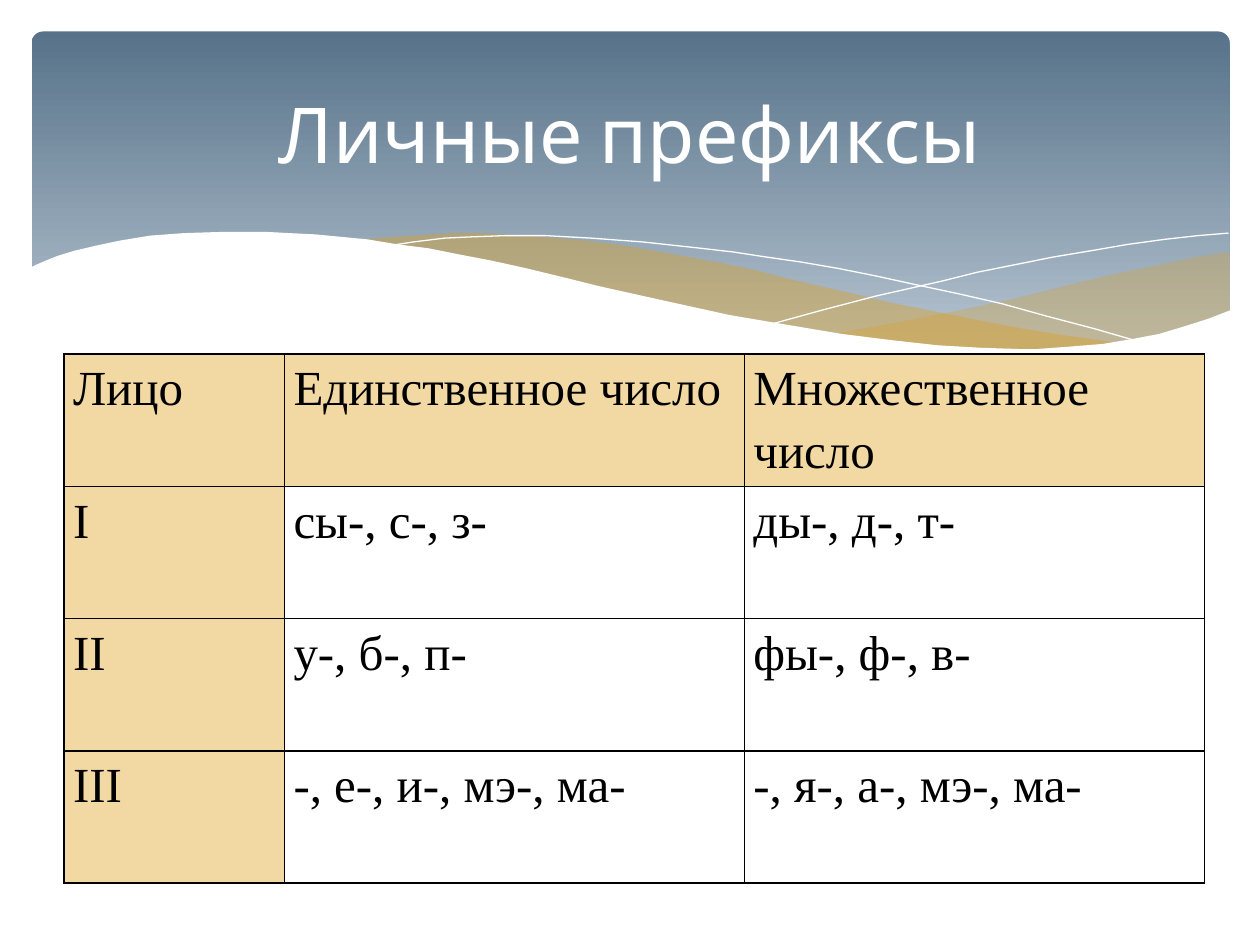
from lxml import etree
from pptx import Presentation, util as u
from pptx.dml.color import RGBColor
from pptx.enum import shapes, text
from pptx.oxml.ns import qn

GOLD = "DC9E1F"
SAND = "F2D9A4"
WHITE = "FFFFFF"
BLACK = "000000"

RIGHT = [
    (9.76, 2), (9.48, 2.04), (9.21, 2.1), (8.91, 2.16), (8.61, 2.23),
    (8.05, 2.37), (7.53, 2.48), (7.06, 2.57), (6.61, 2.65), (6.91, 2.69),
    (7.19, 2.72), (7.45, 2.75), (7.69, 2.77), (8.03, 2.78), (8.35, 2.77),
    (8.63, 2.75), (8.89, 2.72), (9.13, 2.67), (9.35, 2.62), (9.49, 2.57),
    (9.63, 2.52), (9.76, 2.47),
]
BAND = [
    (8.93, 2.73), (8.66, 2.69), (8.37, 2.65), (8.07, 2.6), (7.75, 2.54),
    (7.41, 2.47), (7.06, 2.4), (6.68, 2.31), (6.29, 2.22), (5.98, 2.14),
    (5.69, 2.08), (5.41, 2.03), (5.14, 1.98), (4.89, 1.94), (4.65, 1.91),
    (4.42, 1.89), (4.2, 1.87), (3.99, 1.86), (3.8, 1.85), (3.61, 1.85),
    (3.28, 1.87), (2.99, 1.89), (2.86, 1.91), (3.23, 1.96), (3.62, 2.03),
    (4.04, 2.11), (4.49, 2.22), (4.91, 2.32), (5.3, 2.4), (5.66, 2.48),
    (6.01, 2.55), (6.34, 2.61), (6.65, 2.66), (6.95, 2.7), (7.22, 2.74),
    (7.48, 2.76), (7.73, 2.77), (7.96, 2.78), (8.28, 2.78), (8.57, 2.77),
    (8.76, 2.75),
]
FALL = [
    (3.09, 1.95), (3.28, 1.92), (3.53, 1.89), (3.74, 1.88), (4.01, 1.87),
    (4.33, 1.87), (4.69, 1.89), (5.1, 1.92), (5.56, 1.97), (5.82, 2),
    (6.08, 2.04), (6.36, 2.08), (6.65, 2.13), (6.95, 2.19), (7.27, 2.26),
    (7.6, 2.33), (7.95, 2.41), (8.31, 2.51), (8.69, 2.61), (9.07, 2.72),
]
RISE = [
    (6.13, 2.57), (6.53, 2.46), (6.95, 2.35), (7.48, 2.23), (7.76, 2.16),
    (8.06, 2.1), (8.36, 2.04), (8.66, 1.99), (8.95, 1.94), (9.24, 1.9),
    (9.51, 1.87), (9.75, 1.85),
]
WAVE = [
    (9.77, 2.46), (9.59, 2.53), (9.4, 2.59), (9.2, 2.65), (8.99, 2.69),
    (8.75, 2.73), (8.5, 2.75), (8.23, 2.77), (8.09, 2.77), (7.78, 2.76),
    (7.44, 2.74), (7.08, 2.7), (6.68, 2.65), (6.26, 2.58), (5.79, 2.5),
    (5.29, 2.39), (4.75, 2.27), (4.47, 2.2), (4.18, 2.13), (3.91, 2.07),
    (3.65, 2.02), (3.4, 1.97), (3.16, 1.94), (2.92, 1.9), (2.71, 1.88),
    (2.5, 1.86), (2.3, 1.85), (2.11, 1.84), (1.77, 1.84), (1.46, 1.85),
    (1.19, 1.87), (0.95, 1.91), (0.76, 1.95), (0.59, 1.99), (0.46, 2.03),
    (0.36, 2.07), (0.29, 2.1), (0.23, 2.13), (0.23, 3.29), (9.77, 3.29),
]
ROWS = [
    ["Лицо", "Единственное число", "Множественное число"],
    ["I", "сы-, с-, з-", "ды-, д-, т-"],
    ["II", "у-, б-, п-", "фы-, ф-, в-"],
    ["III", "-, е-, и-, мэ-, ма-", "-, я-, а-, мэ-, ма-"],
]


def rgb(code):
    return RGBColor.from_string(code)


class Deck:
    head = "Cabin"
    body = "Times New Roman"

    def __init__(self):
        self.prs = Presentation()
        self.prs.slide_width = u.Inches(10)
        self.prs.slide_height = u.Inches(7.5)
        self.slide = self.prs.slides.add_slide(self.prs.slide_layouts[6])

    def font(self, run, name, size, color):
        run.font.name = name
        run.font.size = u.Pt(size)
        run.font.color.rgb = rgb(color)

    def panel(self, box, top, low):
        """Round-cornered panel that fades downwards."""
        shape = self.slide.shapes.add_shape(
            shapes.MSO_SHAPE.ROUNDED_RECTANGLE, *map(u.Inches, box))
        shape.adjustments[0] = 0.034
        shape.shadow.inherit = False
        shape.line.fill.background()
        shape.fill.gradient()
        shape.fill.gradient_angle = 270
        stops = shape.fill.gradient_stops
        for stop, color, place in zip(stops, (top, low), (0, 0.9)):
            stop.color.rgb = rgb(color)
            stop.position = place

    def outline(self, points, closed):
        spots = [(u.Inches(x), u.Inches(y)) for x, y in points]
        pen = self.slide.shapes.build_freeform(*spots[0])
        pen.add_line_segments(spots[1:], close=closed)
        shape = pen.convert_to_shape()
        shape.shadow.inherit = False
        return shape

    def area(self, points, color, alpha=100):
        shape = self.outline(points, True)
        shape.line.fill.background()
        shape.fill.solid()
        shape.fill.fore_color.rgb = rgb(color)
        if alpha < 100:
            tint = shape.fill._xPr.find(".//" + qn("a:srgbClr"))
            etree.SubElement(tint, qn("a:alpha"), val=str(alpha * 1000))

    def curve(self, points, color):
        shape = self.outline(points, False)
        shape.fill.background()
        shape.line.color.rgb = rgb(color)
        shape.line.width = u.Pt(0)

    def title(self, box, words):
        frame = self.slide.shapes.add_textbox(*map(u.Inches, box)).text_frame
        frame.word_wrap = True
        frame.vertical_anchor = text.MSO_ANCHOR.MIDDLE
        frame.text = words
        para = frame.paragraphs[0]
        para.alignment = text.PP_ALIGN.CENTER
        self.font(para.runs[0], self.head, 44, WHITE)

    def border(self, cell, color):
        props = cell._tc.get_or_add_tcPr()
        for side in ("lnL", "lnR", "lnT", "lnB"):
            line = etree.SubElement(props, qn("a:" + side), w=str(u.Pt(1)))
            fill = etree.SubElement(line, qn("a:solidFill"))
            etree.SubElement(fill, qn("a:srgbClr"), val=color)

    def cell(self, cell, words, shade):
        cell.margin_left = cell.margin_right = u.Inches(0.07)
        cell.margin_top = cell.margin_bottom = 0
        self.border(cell, BLACK)
        if shade:
            cell.fill.solid()
            cell.fill.fore_color.rgb = rgb(SAND)
        else:
            cell.fill.background()
        cell.text_frame.text = words
        para = cell.text_frame.paragraphs[0]
        para.alignment = text.PP_ALIGN.JUSTIFY
        para.line_spacing = 1.15
        self.font(para.runs[0], self.body, 28, BLACK)

    def table(self, left, top, widths, height, rows):
        table = self.slide.shapes.add_table(
            len(rows), len(widths), u.Inches(left), u.Inches(top),
            u.Inches(sum(widths)), u.Inches(height * len(rows))).table
        table.first_row = table.horz_banding = False
        for col, width in zip(table.columns, widths):
            col.width = u.Inches(width)
        for r, row in enumerate(rows):
            table.rows[r].height = u.Inches(height)
            for c, words in enumerate(row):
                self.cell(table.cell(r, c), words, r == 0 or c == 0)


def main():
    deck = Deck()
    deck.panel((0.25, 0.25, 9.51, 2.7), "577289", "B2C1CE")
    deck.area(RIGHT, GOLD, 29)
    deck.area(BAND, GOLD, 40)
    deck.curve(FALL, WHITE)
    deck.curve(RISE, WHITE)
    deck.area(WAVE, WHITE)
    deck.table(0.51, 2.81, (1.75, 3.65, 3.65), 1.05, ROWS)
    deck.title((0.5, 0.37, 9, 1.37), "Личные префиксы")
    deck.prs.save("out.pptx")


if __name__ == "__main__":
    main()
